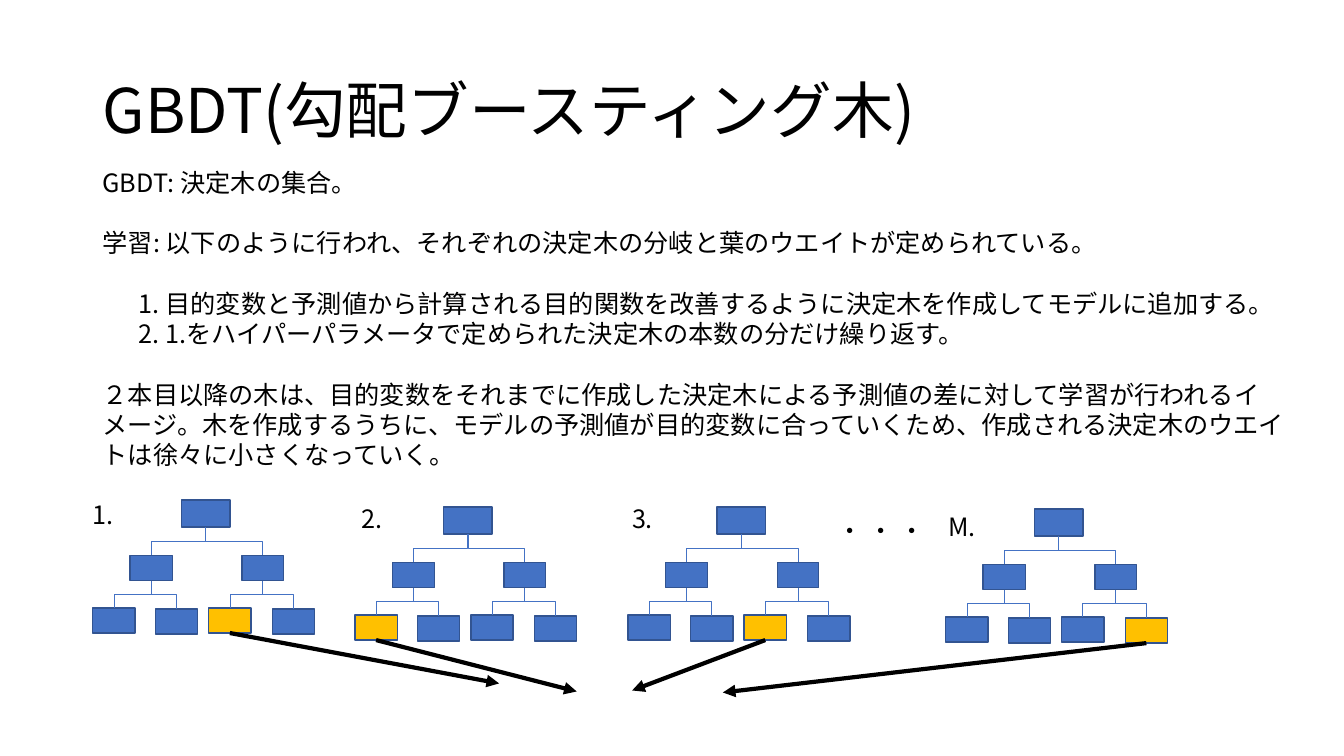
from lxml import etree
from pptx import Presentation
from pptx.dml.color import RGBColor
from pptx.enum.shapes import MSO_CONNECTOR, MSO_SHAPE
from pptx.enum.text import MSO_ANCHOR
from pptx.oxml.ns import qn
from pptx.util import Inches, Pt

RECT = MSO_SHAPE.RECTANGLE
ELBOW, LINE = MSO_CONNECTOR.ELBOW, MSO_CONNECTOR.STRAIGHT
MIDDLE, TOP = MSO_ANCHOR.MIDDLE, MSO_ANCHOR.TOP
BOTTOM_SIDE, TOP_SIDE = 2, 0

# Content
TITLE = "GBDT(勾配ブースティング木)"
BODY = [  # text, left indent, blank line before
    ("GBDT: 決定木の集合。", 0, False),
    ("学習: 以下のように行われ、それぞれの決定木の分岐と葉のウエイトが定められている。", 0, True),
    ("1. 目的変数と予測値から計算される目的関数を改善するように決定木を作成してモデルに追加する。",
     0.36, True),
    ("2. 1.をハイパーパラメータで定められた決定木の本数の分だけ繰り返す。", 0.36, False),
    ("２本目以降の木は、目的変数をそれまでに作成した決定木による予測値の差に対して"
     "学習が行われるイメージ。木を作成するうちに、モデルの予測値が目的変数に合っていくため、"
     "作成される決定木のウエイトは徐々に小さくなっていく。", 0, True),
]
TREES = [  # root left and top, chosen leaf, arrow tip
    ((1.8, 4.96), 2, (4.95, 6.78)),
    ((4.4, 5.03), 0, (5.72, 6.86)),
    ((7.11, 5.03), 2, (6.27, 6.85)),
    ((10.26, 5.05), 3, (7.17, 6.87)),
]
LABELS = [  # text, left, top, width
    ("1.", 0.82, 4.9, 0.41),
    ("2.", 3.49, 4.94, 0.41),
    ("3.", 6.17, 4.94, 0.41),
    ("・ ・ ・", 8.21, 5.06, 1.1),
    ("M.", 9.31, 5.02, 0.5),
]
# Boxes of one tree, measured from its root: left, top, width, height
ROOT = (0, 0, 0.48, 0.27)
NODES = [(-0.51, 0.55, 0.42, 0.25), (0.6, 0.55, 0.41, 0.25)]
LEAVES = [(-0.88, 1.07, 0.42, 0.25), (-0.26, 1.08, 0.42, 0.25),
          (0.27, 1.07, 0.42, 0.25), (0.9, 1.08, 0.42, 0.25)]

THEME = {
    "font": "Noto Sans CJK JP", "title": Pt(44), "text": Pt(18), "gap": Pt(21.6),
    "ink": RGBColor(0, 0, 0), "node": RGBColor(0x44, 0x72, 0xC4),
    "edge": RGBColor(0x32, 0x54, 0x91), "pick": RGBColor(0xFF, 0xC0, 0),
}

deck = Presentation()
deck.slide_width, deck.slide_height = Inches(13.33), Inches(7.5)
slide = deck.slides.add_slide(deck.slide_layouts[6])


def add_text(box, paras, size, wrap=True, anchor=TOP, pitch=None):
    frame = slide.shapes.add_textbox(*map(Inches, box)).text_frame
    frame.word_wrap, frame.vertical_anchor = wrap, anchor
    for i, (text, indent, gap) in enumerate(paras):
        para = frame.paragraphs[0] if i == 0 else frame.add_paragraph()
        if indent:
            para._p.get_or_add_pPr().set("marL", str(Inches(indent)))
        if gap:
            para.space_before = THEME["gap"]
        if pitch:
            para.line_spacing = pitch
        run = para.add_run()
        run.text = text
        run.font.size, run.font.name = size, THEME["font"]
        run.font.color.rgb = THEME["ink"]
        asian = etree.SubElement(run._r.get_or_add_rPr(), qn("a:ea"))
        asian.set("typeface", THEME["font"])


def style_line(line, color, width):
    line.line.color.rgb, line.line.width = color, Pt(width)
    etree.SubElement(line._element.spPr, qn("a:effectLst"))


def add_box(group, root, box, fill):
    left, top, width, height = box
    shape = group.shapes.add_shape(
        RECT, Inches(root[0] + left), Inches(root[1] + top), Inches(width), Inches(height))
    shape.shadow.inherit = False
    shape.fill.solid()
    shape.fill.fore_color.rgb = fill
    shape.line.color.rgb, shape.line.width = THEME["edge"], Pt(1)
    return shape


def add_branch(group, upper, lower):
    line = group.shapes.add_connector(ELBOW, 0, 0, 0, 0)
    line.begin_connect(upper, BOTTOM_SIDE)
    line.end_connect(lower, TOP_SIDE)
    x1, y1, x2, y2 = line.begin_x, line.begin_y, line.end_x, line.end_y
    # Turn the elbow so that it leaves and arrives vertically
    long, wide = y2 - y1, abs(x2 - x1)
    line.left, line.top = (x1 + x2 - long) // 2, (y1 + y2 - wide) // 2
    line.width, line.height = long, wide
    frame = line._element.spPr.find(qn("a:xfrm"))
    right = x2 > x1
    frame.set("rot", str((270 if right else 90) * 60000))
    frame.set("flipH", "1" if right else "0")
    frame.set("flipV", "0")
    style_line(line, THEME["node"], 0.5)


def add_tree(root, pick):
    group = slide.shapes.add_group_shape()
    top = add_box(group, root, ROOT, THEME["node"])
    nodes = [add_box(group, root, box, THEME["node"]) for box in NODES]
    leaves = [add_box(group, root, box, THEME["pick" if i == pick else "node"])
              for i, box in enumerate(LEAVES)]
    for node in nodes:
        add_branch(group, top, node)
    for i, leaf in enumerate(leaves):
        add_branch(group, nodes[i // 2], leaf)
    return leaves[pick]


def add_arrow(leaf, tip):
    x, y = map(Inches, tip)
    line = slide.shapes.add_connector(LINE, x, y, x, y)
    line.begin_connect(leaf, BOTTOM_SIDE)
    style_line(line, THEME["ink"], 3)
    etree.SubElement(line.line._get_or_add_ln(), qn("a:tailEnd")).set("type", "triangle")


# Title and body
add_text((0.92, 0.4, 11.5, 1.45), [(TITLE, 0, False)], THEME["title"],
         anchor=MIDDLE, pitch=0.9)
add_text((0.92, 1.61, 12.13, 3.13), BODY, THEME["text"])

# Trees, then the arrows from their chosen leaves
picks = [(add_tree(root, pick), tip) for root, pick, tip in TREES]
for label, left, top, width in LABELS:
    add_text((left, top, width, 0.4), [(label, 0, False)], THEME["text"], wrap=False)
for leaf, tip in picks:
    add_arrow(leaf, tip)

deck.save("out.pptx")
